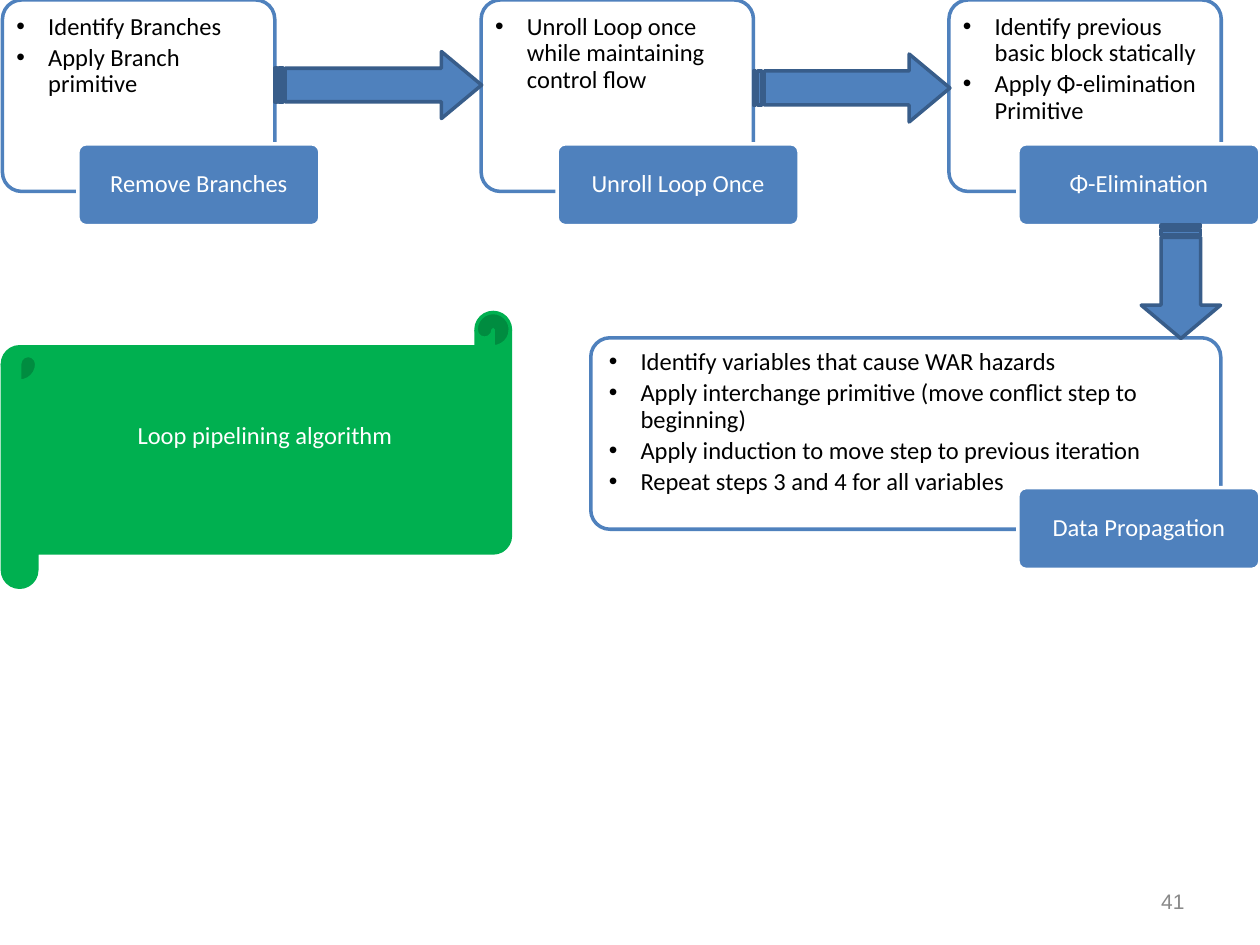
from dataclasses import dataclass

import lxml.etree
import pptx
import pptx.dml.color
import pptx.enum.shapes
import pptx.enum.text
import pptx.oxml.ns
import pptx.util

Cm = pptx.util.Cm
Pt = pptx.util.Pt
Color = pptx.dml.color.RGBColor
Kind = pptx.enum.shapes.MSO_SHAPE
Align = pptx.enum.text.PP_ALIGN
Anchor = pptx.enum.text.MSO_ANCHOR
qn = pptx.oxml.ns.qn


@dataclass(frozen=True)
class Theme:
    blue: Color = Color(0x4F, 0x81, 0xBD)
    dark_blue: Color = Color(0x38, 0x5D, 0x8A)
    green: Color = Color(0x00, 0xB0, 0x50)
    white: Color = Color(0xFF, 0xFF, 0xFF)
    black: Color = Color(0, 0, 0)
    gray: Color = Color(0x89, 0x89, 0x89)
    body_font: str = "Calibri"
    number_font: str = "Arial"
    body_size: int = 14
    number_size: int = 12
    line_width: int = 2


THEME = Theme()


@dataclass(frozen=True)
class Box:
    """Position and size in centimetres."""
    left: float
    top: float
    width: float
    height: float

    def lengths(self) -> list:
        return [Cm(value) for value in (self.left, self.top, self.width, self.height)]


@dataclass(frozen=True)
class Step:
    title: str
    card: Box
    label: Box
    bullets: tuple
    insets: tuple = (0.17, 0.17, 0.17, 0.2)


@dataclass(frozen=True)
class Arrow:
    box: Box
    head: float
    rotation: int = 0


CARD_WIDTH, CARD_HEIGHT = 5.49, 3.86
LABEL_WIDTH, LABEL_HEIGHT = 4.88, 1.65


def top_step(title: str, left: float, label_left: float, *bullets: str) -> Step:
    return Step(title, Box(left, 0, CARD_WIDTH, CARD_HEIGHT),
                Box(label_left, 2.9, LABEL_WIDTH, LABEL_HEIGHT), bullets)


STEPS = [
    top_step("Remove Branches", 0.05, 1.57,
             "Identify Branches", "Apply Branch primitive"),
    Step("Data Propagation", Box(11.91, 6.81, 12.7, CARD_HEIGHT),
         Box(20.52, 9.83, LABEL_WIDTH, LABEL_HEIGHT),
         ("Identify variables that cause WAR hazards",
          "Apply interchange primitive (move conflict step to beginning)",
          "Apply induction to move step to previous iteration",
          "Repeat steps 3 and 4 for all variables"),
         (0.25, 0.12, 0.25, 0.2)),
    top_step("Unroll Loop Once", 9.7, 11.23,
             "Unroll Loop once while maintaining control flow"),
    top_step("Φ-Elimination", 19.13, 20.52,
             "Identify previous basic block statically",
             "Apply Φ-elimination Primitive"),
]

ARROWS = [
    Arrow(Box(5.54, 1.04, 4.17, 1.35), 0.6),
    Arrow(Box(15.19, 1.09, 3.96, 1.37), 0.6),
    Arrow(Box(22.66, 4.88, 2.29, 1.6), 0.42, 90),
]


def add_shape(slide, kind, box: Box, fill: Color, line: Color, *adjustments: float):
    shape = slide.shapes.add_shape(kind, *box.lengths())
    shape.shadow.inherit = False
    shape.fill.solid()
    shape.fill.fore_color.rgb = fill
    shape.line.color.rgb = line
    shape.line.width = Pt(THEME.line_width)
    for index, value in enumerate(adjustments):
        shape.adjustments[index] = value
    return shape


def set_frame(shape, anchor, insets: tuple):
    """Wrap the text; insets are left, top, right, bottom in centimetres."""
    frame = shape.text_frame
    frame.word_wrap = True
    frame.vertical_anchor = anchor
    (frame.margin_left, frame.margin_top,
     frame.margin_right, frame.margin_bottom) = map(Cm, insets)
    return frame


def add_run(paragraph, text: str, color: Color, align, size: int = THEME.body_size,
            font: str = THEME.body_font) -> None:
    paragraph.alignment = align
    run = paragraph.add_run()
    run.text = text
    run.font.size = Pt(size)
    run.font.name = font
    run.font.color.rgb = color


def add_bullet(paragraph) -> None:
    properties = paragraph._p.get_or_add_pPr()
    properties.set("marL", str(Cm(0.64)))
    properties.set("indent", str(-Cm(0.64)))
    lxml.etree.SubElement(properties, qn("a:buFont")).set("typeface", THEME.number_font)
    lxml.etree.SubElement(properties, qn("a:buChar")).set("char", "•")


def set_opacity(shape, percent: int) -> None:
    color = shape._element.spPr.find(qn("a:solidFill"))[0]
    lxml.etree.SubElement(color, qn("a:alpha")).set("val", str(percent * 1000))


def add_step(slide, step: Step) -> None:
    card = add_shape(slide, Kind.ROUNDED_RECTANGLE, step.card, THEME.white, THEME.blue, 0.1)
    set_opacity(card, 90)
    frame = set_frame(card, Anchor.TOP, step.insets)
    for index, text in enumerate(step.bullets):
        paragraph = frame.add_paragraph() if index else frame.paragraphs[0]
        add_bullet(paragraph)
        paragraph.line_spacing = 0.9
        paragraph.space_after = Pt(2.6)
        add_run(paragraph, text, THEME.black, Align.LEFT)

    label = add_shape(slide, Kind.ROUNDED_RECTANGLE, step.label, THEME.blue, THEME.white, 0.1)
    paragraph = set_frame(label, Anchor.MIDDLE, (0.2, 0.15, 0.2, 0.15)).paragraphs[0]
    paragraph.line_spacing = 0.9
    add_run(paragraph, step.title, THEME.white, Align.CENTER)


def add_arrow(slide, arrow: Arrow) -> None:
    shape = add_shape(slide, Kind.STRIPED_RIGHT_ARROW, arrow.box,
                      THEME.blue, THEME.dark_blue, 0.5, arrow.head)
    shape.rotation = arrow.rotation


def add_scroll(slide) -> None:
    scroll = add_shape(slide, Kind.HORIZONTAL_SCROLL, Box(0.05, 6.3, 10.24, 5.54),
                       THEME.green, THEME.green, 0.125)
    frame = set_frame(scroll, Anchor.MIDDLE, (0.25, 0.13, 0.25, 0.73))
    add_run(frame.paragraphs[0], "Loop pipelining algorithm", THEME.white, Align.CENTER)


def add_page_number(slide) -> None:
    number = slide.shapes.add_textbox(*Box(18.21, 17.65, 5.92, 1.02).lengths())
    frame = set_frame(number, Anchor.MIDDLE, (0.25, 0.13, 0.25, 0.13))
    add_run(frame.paragraphs[0], "41", THEME.gray, Align.RIGHT,
            THEME.number_size, THEME.number_font)


def main() -> None:
    presentation = pptx.Presentation()
    presentation.slide_width = Cm(25.4)
    presentation.slide_height = Cm(19.05)
    slide = presentation.slides.add_slide(presentation.slide_layouts[6])
    add_page_number(slide)
    for step in STEPS:
        add_step(slide, step)
    for arrow in ARROWS:
        add_arrow(slide, arrow)
    add_scroll(slide)
    presentation.save("out.pptx")


if __name__ == "__main__":
    main()
